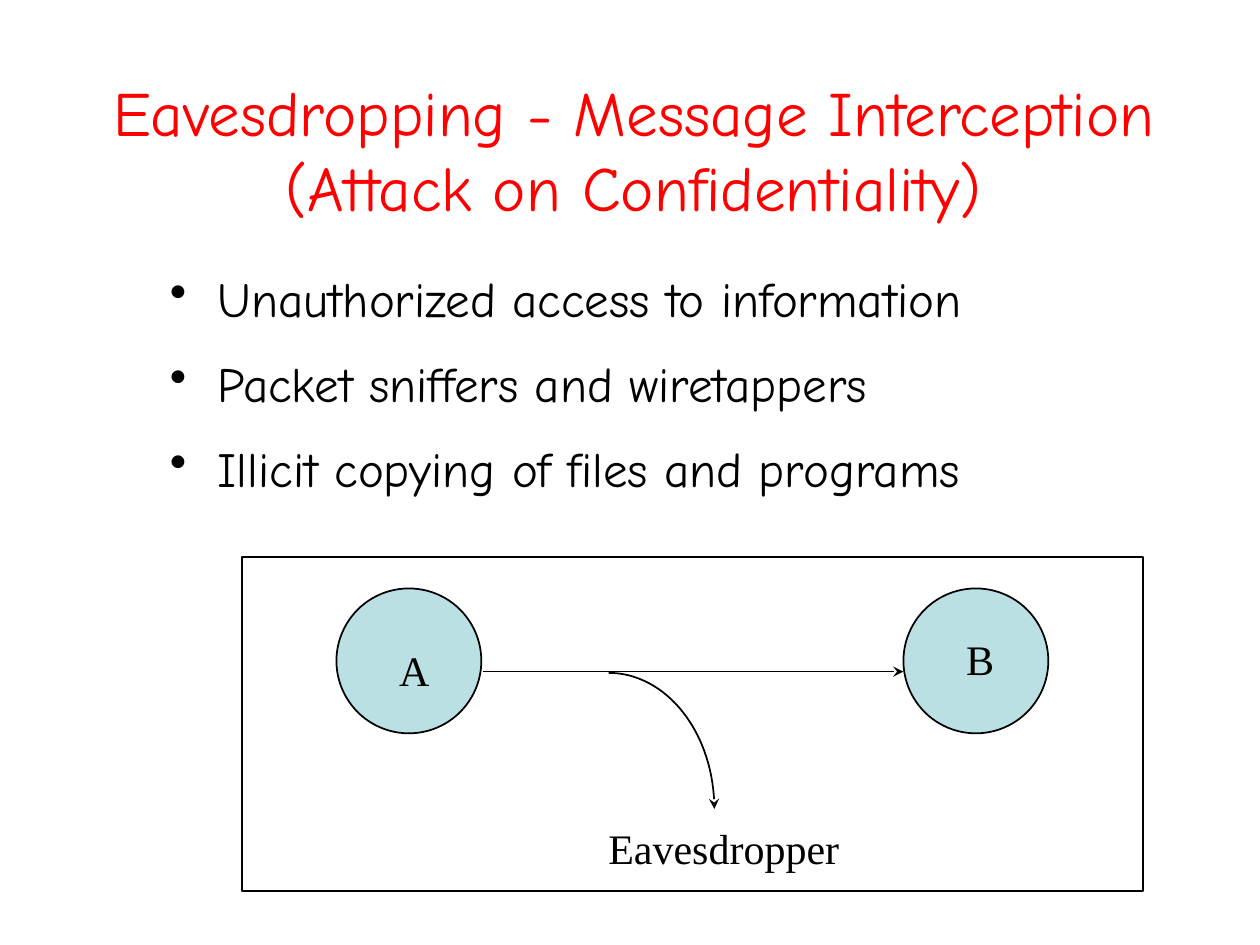
import math

from lxml import etree
from pptx import Presentation
from pptx import util as u
from pptx.dml.color import RGBColor
from pptx.enum import shapes, text
from pptx.oxml.ns import qn

HAND = "Comic Neue"
SERIF = "Times New Roman"
BLACK = "000000"
BULLETS = [
    "Unauthorized access to information",
    "Packet sniffers and wiretappers",
    "Illicit copying of files and programs",
]


def color(value):
    """Turn a hex string into a colour."""
    return RGBColor.from_string(value)


def add_run(paragraph, words, size, font, ink=BLACK):
    """Add one styled run to a paragraph."""
    run = paragraph.add_run()
    run.text = words
    run.font.size = u.Pt(size)
    run.font.name = font
    run.font.color.rgb = color(ink)


def add_frame(slide, box, wrap=True):
    """Add a text box and return its text frame."""
    frame = slide.shapes.add_textbox(*map(u.Inches, box)).text_frame
    frame.word_wrap = wrap
    return frame


def outline(shape, fill=None):
    """Give a shape a thin black line, an optional fill and no shadow."""
    shape.shadow.inherit = False
    shape.line.color.rgb = color(BLACK)
    shape.line.width = u.Pt(1)
    if fill:
        shape.fill.solid()
        shape.fill.fore_color.rgb = color(fill)
    else:
        shape.fill.background()


def add_arrowhead(shape):
    """Put a stealth arrowhead at the end of a line."""
    etree.SubElement(shape.line._get_or_add_ln(), qn("a:tailEnd"), type="stealth")


def add_title(slide, box):
    """Place the centred red title."""
    frame = add_frame(slide, box)
    frame.vertical_anchor = text.MSO_ANCHOR.MIDDLE
    heading = frame.paragraphs[0]
    heading.alignment = text.PP_ALIGN.CENTER
    add_run(heading, "Eavesdropping - Message Interception (Attack on Confidentiality)",
            36, HAND, "FF0000")


def add_bullets(slide, box):
    """Place the bulleted list of attacks."""
    frame = add_frame(slide, box)
    for index, words in enumerate(BULLETS):
        item = frame.add_paragraph() if index else frame.paragraphs[0]
        properties = item._p.get_or_add_pPr()
        properties.set("marL", str(u.Inches(0.38)))
        properties.set("indent", str(-u.Inches(0.38)))
        etree.SubElement(properties, qn("a:buChar"), char="•")
        item.space_before = u.Pt(12 if index else 0)
        item.space_after = u.Pt(3)
        add_run(item, words, 28, HAND)


def add_label(slide, words, box):
    """Place a diagram label."""
    add_run(add_frame(slide, box, wrap=False).paragraphs[0], words, 24, SERIF)


def add_party(slide, name, box, label_box):
    """Place a communicating party as a labelled circle."""
    circle = slide.shapes.add_shape(shapes.MSO_SHAPE.OVAL, *map(u.Inches, box))
    outline(circle, "BBE0E3")
    add_label(slide, name, label_box)


def add_message(slide, start, end, y):
    """Draw the straight message arrow."""
    message = slide.shapes.add_connector(
        shapes.MSO_CONNECTOR.STRAIGHT, *map(u.Inches, (start, y, end, y)))
    message.line.color.rgb = color(BLACK)
    message.line.width = u.Pt(1)
    add_arrowhead(message)
    etree.SubElement(message._element.spPr, qn("a:effectLst"))


def add_tap(slide, box, steps=32):
    """Draw the tap as a quarter-ellipse arrow from top left to bottom right."""
    left, top, width, height = box
    angles = [math.pi / 2 * step / steps for step in range(steps + 1)]
    points = [(u.Inches(left + width * math.sin(angle)),
               u.Inches(top + height * (1 - math.cos(angle)))) for angle in angles]
    builder = slide.shapes.build_freeform(*points[0])
    builder.add_line_segments(points[1:], close=False)
    tap = builder.convert_to_shape()
    outline(tap)
    add_arrowhead(tap)


def add_diagram(slide, box):
    """Place the interception diagram in its frame."""
    left, top, _, _ = box
    border = slide.shapes.add_shape(shapes.MSO_SHAPE.RECTANGLE, *map(u.Inches, box))
    outline(border, "FFFFFF")
    size = 1.15
    add_party(slide, "A", (left + 0.75, top + 0.25, size, size),
              (left + 1.15, top + 0.65, 0.44, 0.5))
    add_party(slide, "B", (left + 5.25, top + 0.25, size, size),
              (left + 5.65, top + 0.56, 0.42, 0.5))
    add_message(slide, left + 1.91, left + 5.25, top + 0.91)
    add_tap(slide, (left + 2.91, top + 0.92, 0.84, 1.08))
    add_label(slide, "Eavesdropper", (left + 2.81, top + 2.06, 2.04, 0.5))


def main():
    """Build and save the slide."""
    deck = Presentation()
    deck.slide_width, deck.slide_height = u.Inches(10), u.Inches(7.5)
    slide = deck.slides.add_slide(deck.slide_layouts[6])
    add_title(slide, (0.42, 0.33, 9.22, 1.7))
    add_bullets(slide, (1.25, 2.08, 8.5, 2.17))
    add_diagram(slide, (1.92, 4.42, 7.15, 2.65))
    deck.save("out.pptx")


if __name__ == "__main__":
    main()
